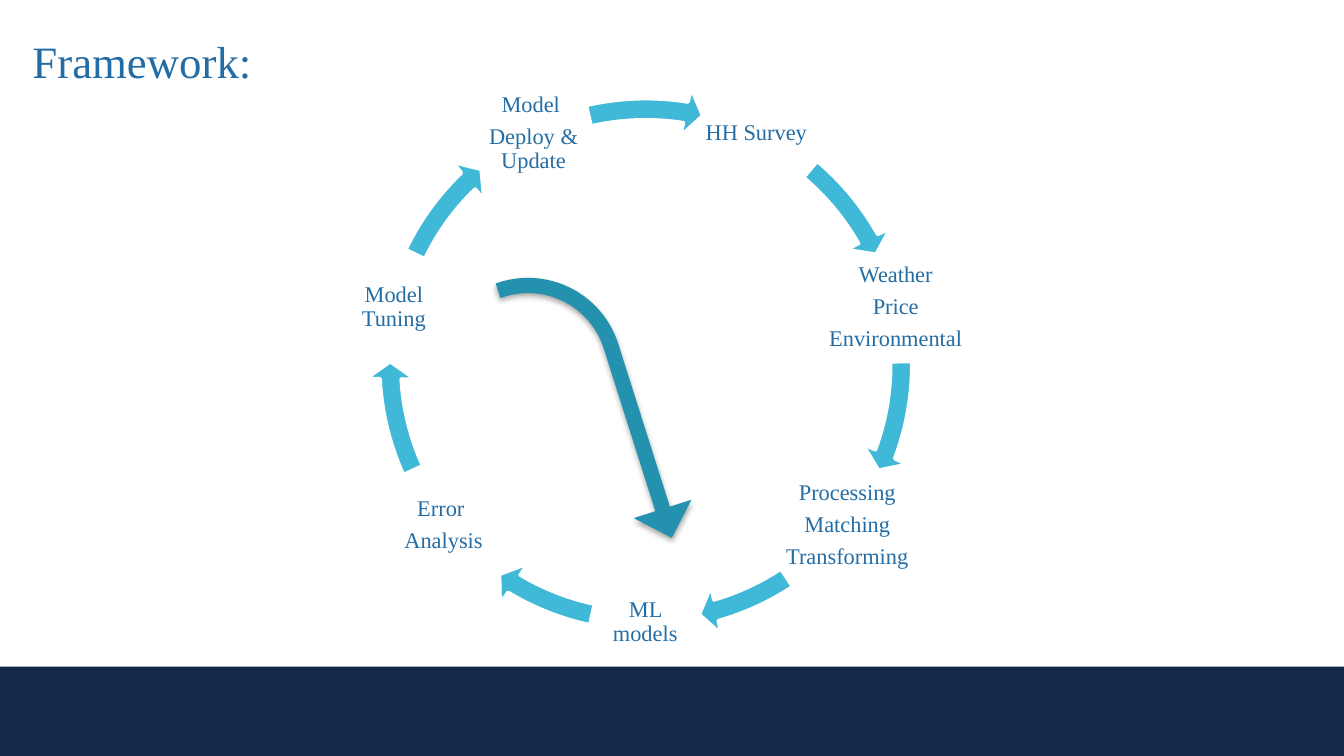
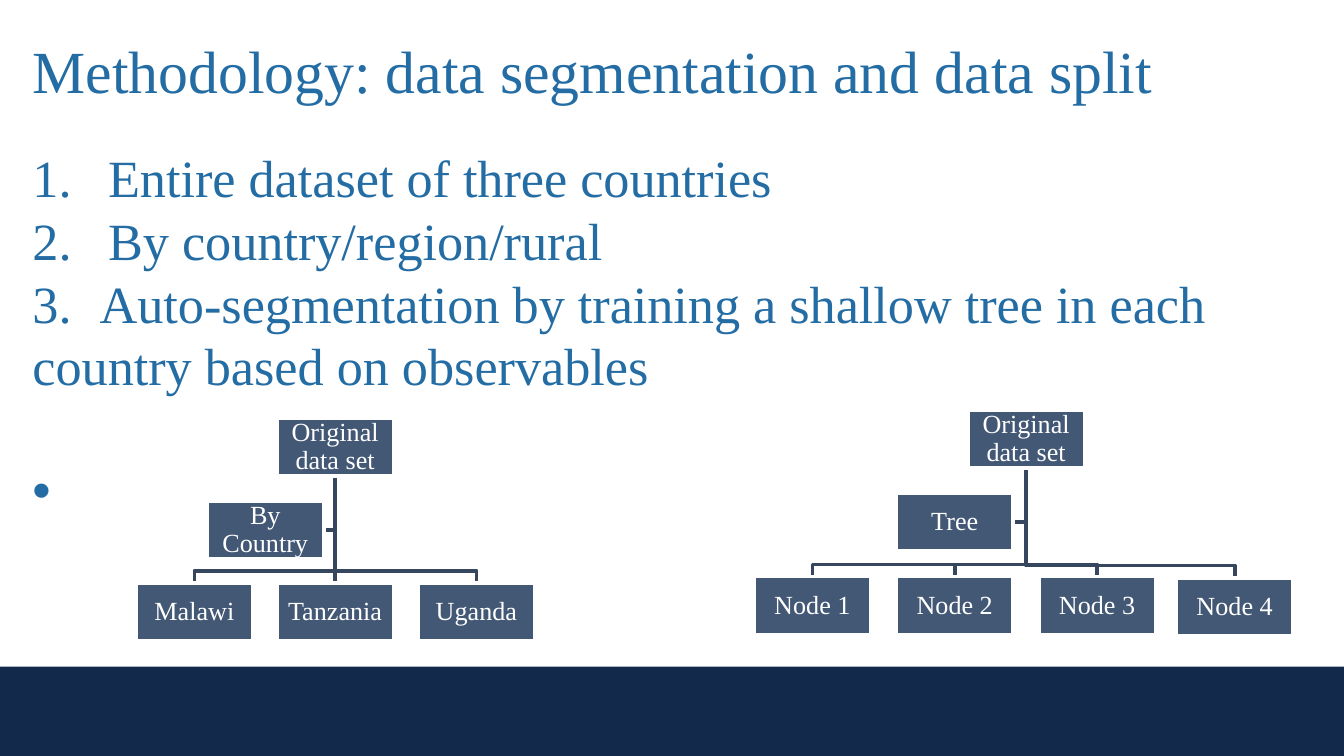
"""Build two slides: a modelling framework cycle and a data segmentation method."""
from lxml import etree
from pptx import Presentation
from pptx.dml.color import RGBColor
from pptx.enum.shapes import MSO_SHAPE
from pptx.enum.text import MSO_ANCHOR, MSO_AUTO_SIZE, PP_ALIGN
from pptx.oxml.ns import qn
from pptx.util import Cm, Pt

RECTANGLE = MSO_SHAPE.RECTANGLE
CIRCULAR_ARROW = MSO_SHAPE.CIRCULAR_ARROW
BENT_ARROW = MSO_SHAPE.BENT_ARROW
TOP, MIDDLE = MSO_ANCHOR.TOP, MSO_ANCHOR.MIDDLE
LEFT, CENTER = PP_ALIGN.LEFT, PP_ALIGN.CENTER
NO_FIT = MSO_AUTO_SIZE.NONE

FONT = "Times New Roman"
NAVY = RGBColor(0x13, 0x29, 0x4B)
BLUE = RGBColor(0x24, 0x6D, 0xA4)
SKY = RGBColor(0x40, 0xB9, 0xD8)
TEAL = RGBColor(0x24, 0x92, 0xAE)
SLATE = RGBColor(0x43, 0x58, 0x75)
DARK_SLATE = RGBColor(0x36, 0x46, 0x5E)
WHITE = RGBColor(0xFF, 0xFF, 0xFF)


def add_run(paragraph, text, size, color):
    run = paragraph.add_run()
    run.text = text
    run.font.name = FONT
    run.font.size = Pt(size)
    run.font.color.rgb = color


def write_label(shape, lines, size, color, margin):
    frame = shape.text_frame
    frame.word_wrap = True
    frame.vertical_anchor = MIDDLE
    frame.margin_left = frame.margin_right = Cm(margin)
    frame.margin_top = frame.margin_bottom = Cm(margin)
    for i, line in enumerate(lines):
        paragraph = frame.add_paragraph() if i else frame.paragraphs[0]
        paragraph.alignment = CENTER
        paragraph.line_spacing = 0.9
        paragraph.space_after = Pt(size * 0.35)
        add_run(paragraph, line, size, color)


prs = Presentation()
prs.slide_width, prs.slide_height = Cm(25.4), Cm(14.29)

framework = prs.slides.add_slide(prs.slide_layouts[5])
methodology = prs.slides.add_slide(prs.slide_layouts[1])

band = framework.shapes.add_shape(RECTANGLE, 0, Cm(12.6), Cm(25.43), Cm(1.7))
band.shadow.inherit = False
band.fill.solid()
band.fill.fore_color.rgb = NAVY
band.line.fill.background()
band.element.nvSpPr.cNvPr.id = 20
prs.slide_master.shapes.element.insert(2, band.element)

for slide, heading, size in (
    (framework, "Framework:", 24),
    (methodology, "Methodology: data segmentation and data split", 32),
):
    title = slide.shapes.title
    title.left, title.top, title.width, title.height = Cm(0.36), Cm(0.51), Cm(24.77), Cm(1.7)
    title.text_frame.auto_size = NO_FIT
    title.text_frame.vertical_anchor = TOP
    title.text_frame.paragraphs[0].alignment = LEFT
    add_run(title.text_frame.paragraphs[0], heading, size, BLUE)

stages = [
    (13.28, 1.5, 2.03, ["HH Survey "], 330.5, 310.1),
    (14.91, 4.8, 4.04, ["Weather", "Price", "Environmental"], 20.5, 359.3),
    (14.58, 8.92, 2.87, ["Processing", "Matching", "Transforming"], 74, 56.5),
    (11.18, 10.74, 2.03, ["ML models"], 121, 102.1),
    (7.37, 8.92, 2.03, ["Error ", "Analysis"], 176.8, 155.6),
    (6.43, 4.8, 2.03, ["Model Tuning"], 226, 205.6),
    (9.07, 1.5, 2.03, ["Model ", "Deploy & Update"], 279, 257.1),
]
DEGREE = 0.6
for left, top, width, lines, arc_end, arc_start in stages:
    stage = framework.shapes.add_textbox(Cm(left), Cm(top), Cm(width), Cm(2.03))
    write_label(stage, lines, 12, BLUE, 0.05)
    arc = framework.shapes.add_shape(CIRCULAR_ARROW, Cm(6.91), Cm(1.6), Cm(10.59), Cm(10.59))
    arc.shadow.inherit = False
    for i, value in enumerate((0.038, 3.91 * DEGREE, arc_end * DEGREE, arc_start * DEGREE, 0.044)):
        arc.adjustments[i] = value
    arc.fill.solid()
    arc.fill.fore_color.rgb = SKY
    arc.line.color.rgb = WHITE
    arc.line.width = Pt(2)

shortcut = framework.shapes.add_shape(BENT_ARROW, Cm(8.51), Cm(6.53), Cm(5.59), Cm(2.29))
shortcut.rotation = 72.4
for i, value in enumerate((0.126, 0.25, 0.25, 0.782)):
    shortcut.adjustments[i] = value
shortcut.fill.solid()
shortcut.fill.fore_color.rgb = TEAL
shortcut.line.fill.background()
shortcut.shadow.inherit = False
effects = shortcut.element.spPr.find(qn("a:effectLst"))
shadow = etree.SubElement(effects, qn("a:outerShdw"), blurRad=str(Pt(3.1)), dist=str(Pt(1.8)),
                          dir="5400000", rotWithShape="0")
shadow_color = etree.SubElement(shadow, qn("a:srgbClr"), val="000000")
etree.SubElement(shadow_color, qn("a:alpha"), val="35000")

steps = methodology.placeholders[1]
steps.left, steps.top, steps.width, steps.height = Cm(0.36), Cm(2.62), Cm(24.77), Cm(8.2)
steps.text_frame.auto_size = NO_FIT
steps.text_frame.vertical_anchor = TOP
NUMBER = ("a:buAutoNum", {"type": "arabicPeriod"})
for i, (text, indent, before, (bullet, attributes)) in enumerate([
    ("Entire dataset of three countries", 1.43, 0, NUMBER),
    ("By country/region/rural", 1.43, 0, NUMBER),
    ("3. \tAuto-segmentation by training a shallow tree in each country based on observables",
     0, 0, ("a:buNone", {})),
    (" ", 0.79, 33.5, ("a:buChar", {"char": "•"})),
]):
    step = steps.text_frame.add_paragraph() if i else steps.text_frame.paragraphs[0]
    step.alignment = LEFT
    step.space_before = Pt(before)
    add_run(step, text, 28, BLUE)
    properties = step._p.get_or_add_pPr()
    properties.set("marL", str(Cm(indent)))
    properties.set("indent", str(-Cm(indent)))
    etree.SubElement(properties, qn(bullet), attributes)
    if "\t" in text:
        tabs = etree.SubElement(properties, qn("a:tabLst"))
        etree.SubElement(tabs, qn("a:tab"), pos=str(Cm(1.28)), algn="l")

BOX_WIDTH, BOX_HEIGHT = 2.21, 1.1
trees = [
    ((5.23, 7.9, "Original data set"), (3.91, 9.47, "By Country"),
     [(2.57, 11.02, "Malawi"), (5.23, 11.02, "Tanzania"), (7.9, 11.02, "Uganda")]),
    ((18.29, 7.75, "Original data set"), (16.94, 9.32, "Tree"),
     [(14.25, 10.9, "Node 1"), (16.94, 10.9, "Node 2"),
      (19.63, 10.9, "Node 3"), (22.23, 10.92, "Node 4")]),
]
for root, splitter, leaves in trees:
    trunk_x, trunk_top = root[0] + BOX_WIDTH / 2, root[1] + BOX_HEIGHT
    splitter_y = splitter[1] + BOX_HEIGHT / 2
    branches = [[(trunk_x, splitter_y), (splitter[0] + BOX_WIDTH, splitter_y)]]
    for leaf_left, leaf_top, _ in leaves:
        leaf_x, elbow_y = leaf_left + BOX_WIDTH / 2, leaf_top - 0.23
        branches.append([(trunk_x, elbow_y), (leaf_x, elbow_y), (leaf_x, leaf_top)])
    for points in branches:
        builder = methodology.shapes.build_freeform(Cm(trunk_x), Cm(trunk_top))
        builder.add_line_segments([(Cm(x), Cm(y)) for x, y in points], close=False)
        branch = builder.convert_to_shape()
        branch.shadow.inherit = False
        branch.fill.background()
        branch.line.color.rgb = DARK_SLATE
        branch.line.width = Pt(2)
    for left, top, text in [root, *leaves, splitter]:
        node = methodology.shapes.add_shape(RECTANGLE, Cm(left), Cm(top), Cm(BOX_WIDTH), Cm(BOX_HEIGHT))
        node.shadow.inherit = False
        node.fill.solid()
        node.fill.fore_color.rgb = SLATE
        node.line.color.rgb = WHITE
        node.line.width = Pt(2)
        write_label(node, [text], 14, WHITE, 0.02)

prs.save("out.pptx")
